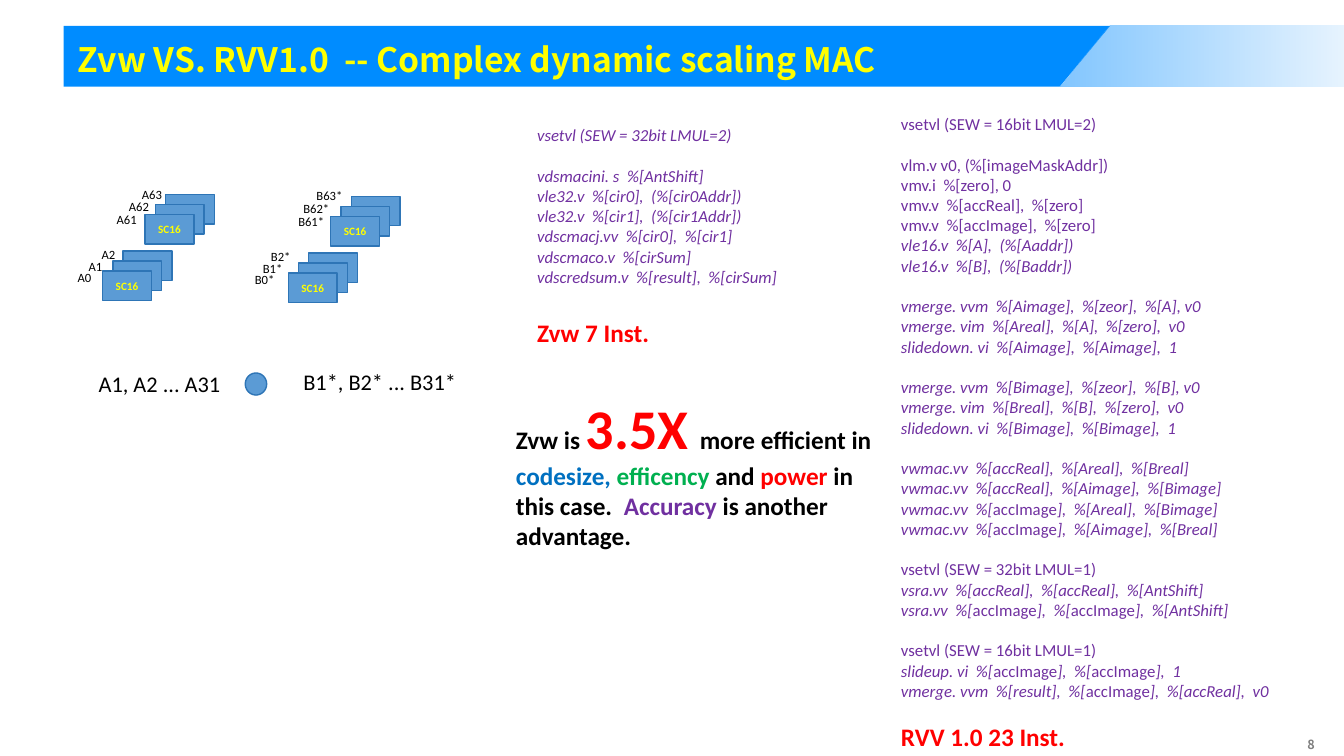
from dataclasses import dataclass

from lxml.etree import SubElement
from pptx import Presentation
from pptx.dml.color import RGBColor as Rgb
from pptx.enum.shapes import MSO_SHAPE as Kind
from pptx.enum.text import MSO_ANCHOR as Anchor, MSO_AUTO_SIZE as Fit, PP_ALIGN as Align
from pptx.oxml.ns import qn
from pptx.util import Pt


@dataclass(frozen=True)
class Theme:
    body: str = "Calibri"
    head: str = "Noto Sans CJK SC"
    banner: str = "008CFF"
    fill: str = "5B9BD5"
    edge: str = "2E75B6"
    yellow: str = "FFFF00"
    black: str = "000000"
    gray: str = "808080"
    purple: str = "7030A0"
    red: str = "FF0000"
    blue: str = "0070C0"
    green: str = "00B050"
    chip: int = 8
    note: int = 9
    code: int = 12
    sum: int = 16
    text: int = 18
    title: int = 24
    huge: int = 40


T = Theme()
LINE = 14.65  # height of one line of code

# Text between tildes is italic.
ZVW = [
    "~vsetvl (SEW = 32bit LMUL=2)",
    """~vdsmacini. s  %[AntShift]
~vle32.v  %[cir0],  (%[cir0Addr])
~vle32.v  %[cir1],  (%[cir1Addr])
~vdscmacj.vv  %[cir0],  %[cir1]
~vdscmaco.v  %[cirSum]
~vdscredsum.v  %[result],  %[cirSum]""",
]
RVV = [
    "vsetvl (SEW = 16bit LMUL=2)",
    """vlm.v v0, (%[imageMaskAddr])
vmv.i  %[zero], 0
vmv.v  %[accReal],  %[zero]
vmv.v  %[accImage],  %[zero]
~vle16.v  %[A],  (%[Aaddr])
~vle16.v  %[B],  (%[Baddr])""",
    """~vmerge. vvm  %[Aimage],  %[zeor],  %[A], v0
~vmerge. vim  %[Areal],  %[A],  %[zero],  v0
~slidedown. vi  %[Aimage],  %[Aimage],  1""",
    """~vmerge. vvm  %[Bimage],  %[zeor],  %[B], v0
~vmerge. vim  %[Breal],  %[B],  %[zero],  v0
~slidedown. vi  %[Bimage],  %[Bimage],  1""",
    """~vwmac.vv  %[accReal],  %[Areal],  %[Breal]
~vwmac.vv  %[accReal],  %[Aimage],  %[Bimage]
~vwmac.vv  %[~accImage~],  %[Areal],  %[Bimage]
~vwmac.vv  %[~accImage~],  %[Aimage],  %[Breal]""",
    """vsetvl (SEW = 32bit LMUL=1)
~vsra.vv  %[accReal],  %[accReal],  %[AntShift]
~vsra.vv  %[~accImage~],  %[~accImage~],  %[AntShift]""",
    """vsetvl (SEW = 16bit LMUL=1)
~slideup. vi  %[~accImage~],  %[~accImage~],  1
~vmerge. vvm  %[result],  %[~accImage~],  %[~accReal],  v0""".replace("~accReal", "accReal"),
]
CLAIM = [
    ("Zvw is ", T.text, T.black), ("3.5X", T.huge, T.red),
    (" ", T.sum, T.red), (" ", 20, T.red),
    ("more efficient in ", T.text, T.black), ("codesize, ", T.text, T.blue),
    ("efficency ", T.text, T.green), ("and ", T.text, T.black),
    ("power ", T.text, T.red), ("in this case.  ", T.text, T.black),
    ("Accuracy ", T.text, T.purple), ("is another advantage.", T.text, T.black),
]


def write(para, text, size, color, bold=False, slant=False, face=T.body):
    run = para.add_run()
    run.text = text
    font = run.font
    font.name, font.size, font.bold, font.italic = face, Pt(size), bold, slant
    font.color.rgb = Rgb.from_string(color)


def frame(slide, box, wrap=True):
    """Add a text box and return its text frame."""
    area = slide.shapes.add_textbox(*map(Pt, box)).text_frame
    area.word_wrap = wrap
    return area


def paint(shape, fill, edge=None):
    shape.shadow.inherit = False
    shape.fill.solid()
    shape.fill.fore_color.rgb = Rgb.from_string(fill)
    if edge:
        shape.line.color.rgb = Rgb.from_string(edge)
        shape.line.width = Pt(1)
    else:
        shape.line.fill.background()


def outline(slide, spots):
    spots = [(Pt(x), Pt(y)) for x, y in spots]
    pen = slide.shapes.build_freeform(*spots[0])
    pen.add_line_segments(spots[1:], close=True)
    shape = pen.convert_to_shape()
    paint(shape, T.banner)
    return shape


def header(slide, box):
    """Draw the slanted banner, its fading tail and the title."""
    x, y, w, h = box
    end, cut, slant = x + w, 793, 36
    low = y + h
    outline(slide, [(x, y), (cut, y), (cut - slant, low), (x, low)])
    tail = outline(slide, [(cut, y), (end, y), (end, low), (cut - slant, low)])
    tail.fill.gradient()
    tail.fill.gradient_angle = 0
    for stop, spot, alpha in zip(tail.fill.gradient_stops, (0, 1), (50, 10)):
        stop.position = spot
        stop.color.rgb = Rgb.from_string(T.banner)
    for tint, alpha in zip(tail.element.spPr.iter(qn("a:srgbClr")), (50, 10)):
        SubElement(tint, qn("a:alpha")).set("val", str(alpha * 1000))

    title = slide.shapes.title
    title.element.getparent().append(title.element)
    title.left, title.top = Pt(x + 10), Pt(y + 9)
    title.width, title.height = Pt(891), Pt(33)
    area = title.text_frame
    area.auto_size, area.word_wrap = Fit.NONE, True
    area.vertical_anchor = Anchor.MIDDLE
    area.margin_left = area.margin_right = area.margin_top = area.margin_bottom = 0
    para = area.paragraphs[0]
    para.alignment, para.line_spacing = Align.LEFT, 0.9
    write(para, "Zvw VS. RVV1.0  -- Complex dynamic scaling MAC",
          T.title, T.yellow, True, face=T.head)


def stack(slide, spot, names, lefts, drop, rise):
    """Draw three tiles from the front tile's corner; labels climb by rise."""
    x, y = spot
    for step in (2, 1, 0):
        tile = slide.shapes.add_shape(
            Kind.RECTANGLE, Pt(x + 7.3 * step), Pt(y - 7.2 * step), Pt(34.8), Pt(20.9))
        paint(tile, T.fill, T.edge)
        area = tile.text_frame
        area.vertical_anchor = Anchor.MIDDLE
        area.paragraphs[0].alignment = Align.CENTER
        write(area.paragraphs[0], "SC16", T.chip, T.yellow, True)
    for step, (name, left) in enumerate(zip(names, lefts)):
        area = frame(slide, (x + left, y - drop - rise * step, 36, 18), False)
        write(area.paragraphs[0], name, T.note, T.black)


def vector(slide, spot, mark, low, high):
    """Draw the lower and upper stacks of one input vector."""
    x, y = spot
    for base, lefts, dx, dy, drop, rise in (
            (0, low, 0, 0, 4.3, 8.3), (61, high, 30.3, 40.3, 5.8, 9)):
        names = [mark.format(base + i) for i in range(3)]
        stack(slide, (x + dx, y - dy), names, lefts, drop, rise)


def product(slide, box):
    x, y, w, h = box
    for text, dx, dy, wide in (
            ("A1, A2 ... A31", 0, 1.4, 117), ("B1*, B2* ... B31*", 146.2, 0, w - 146.2)):
        area = frame(slide, (x + dx, y + dy, wide, h), False)
        write(area.paragraphs[0], text, T.sum, T.black)
    dot = slide.shapes.add_shape(
        Kind.FLOWCHART_CONNECTOR, Pt(x + 111.8), Pt(y + 7.2), Pt(15.3), Pt(15.8))
    paint(dot, T.fill, T.edge)


def listing(slide, box, blocks, total, gap):
    """Write blocks of code and, after a gap, the instruction count."""
    area = frame(slide, box)
    para = area.paragraphs[0]
    for order, block in enumerate(blocks):
        for row, line in enumerate(block.split("\n")):
            if order or row:
                para = area.add_paragraph()
            if order and not row:
                para.space_before = Pt(LINE)
            for part, text in enumerate(line.split("~")):
                if text:
                    write(para, text, T.code, T.purple, slant=part % 2 == 1)
    para = area.add_paragraph()
    para.space_before = Pt(gap)
    write(para, total, T.text, T.red, True)


def claim(slide, box):
    para = frame(slide, box).paragraphs[0]
    for text, size, color in CLAIM:
        write(para, text, size, color, True)


def number(slide, box):
    para = frame(slide, box).paragraphs[0]
    para.alignment = Align.CENTER
    write(para, "8", T.note, T.gray, True, face=T.head)


def main():
    deck = Presentation()
    deck.slide_width, deck.slide_height = Pt(960), Pt(540)
    slide = deck.slides.add_slide(deck.slide_layouts[5])
    header(slide, (45.5, 18.4, 914.5, 43.5))
    number(slide, (895, 522.7, 82.8, 17.3))
    vector(slide, (73.4, 193.7), "A{}", (-25, -17.2, -7.9), (-27.4, -18.7, -9.4))
    vector(slide, (206, 195.1), "B{}*", (-31, -25.3, -19.5), (-30.3, -26.7, -17.3))
    product(slide, (63.4, 259.2, 274, 26.6))
    listing(slide, (376.6, 85.7, 239.8, 167), ZVW, "Zvw 7 Inst.", 22)
    listing(slide, (636.5, 77.8, 293, 465), RVV, "RVV 1.0 23 Inst.", LINE)
    claim(slide, (361.4, 277.2, 279.4, 121))
    deck.save("out.pptx")


if __name__ == "__main__":
    main()
